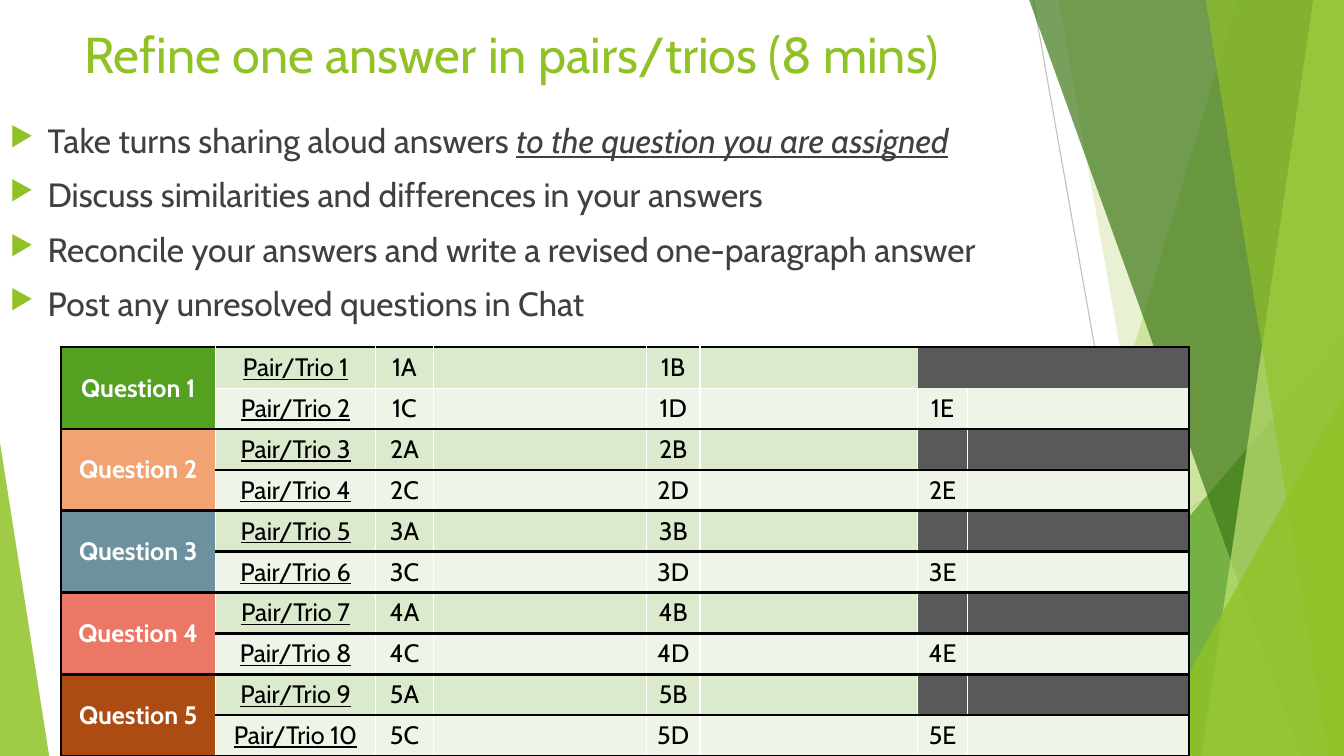
import lxml.etree as etree
import pptx
import pptx.dml.color
import pptx.enum.shapes
import pptx.enum.text
import pptx.oxml.ns
import pptx.util

Cm, Pt = pptx.util.Cm, pptx.util.Pt
qn = pptx.oxml.ns.qn
Align = pptx.enum.text.PP_ALIGN
Anchor = pptx.enum.text.MSO_ANCHOR
Preset = pptx.enum.shapes.MSO_SHAPE

WIDE, HIGH = 33.87, 19.05
COLORS = {
    "lime": "90C226", "green": "54A021", "forest": "3F7819", "pale": "C0E474",
    "line": "BFBFBF", "faint": "D9D9D9", "text": "404040", "black": "000000",
    "white": "FFFFFF", "odd": "DBE9CD", "even": "EEF4E8", "gray": "595959",
    "peach": "F1A374", "slate": "6E91A0", "coral": "EB7766", "rust": "AD4C12",
}
TEAMS = ["green", "peach", "slate", "coral", "rust"]
COLS = [3.89, 4.04, 1.45, 5.37, 1.35, 5.49, 1.25, 5.58]
ROWS = 2 * len(TEAMS)
ROW_HIGH = 1.03


def color(name):
    """Return the named colour."""
    return pptx.dml.color.RGBColor.from_string(COLORS[name])


def add_tag(parent, tag, **attrs):
    """Append an XML element and return it."""
    node = etree.SubElement(parent, qn(tag))
    for key, value in attrs.items():
        node.set(key, str(value))
    return node


def write(para, text, size=18, tint="black", bold=False, ital=False,
          under=False, align=Align.LEFT):
    """Add one formatted run to a paragraph."""
    para.alignment = align
    run = para.add_run()
    run.text = text
    font = run.font
    font.name, font.size = "Cabin", Pt(size)
    font.bold, font.italic, font.underline = bold, ital, under
    font.color.rgb = color(tint)


def rule_down(row, col):
    """Give tint and width of the upright edge left of a column."""
    if col in (0, len(COLS)):
        return "black", 1.5
    return None if row == 0 and col >= 6 else ("white", 1)


def rule_over(row, col):
    """Give tint and width of the level edge above a row."""
    if row in (0, ROWS):
        return "black", 1.5
    if row == 1:
        return None if col >= 6 else ("white", 1)
    return "black", 2.25


class Deck:
    """Holds the style and the current slide."""

    def __init__(self):
        """Start a file with one blank slide."""
        self.file = pptx.Presentation()
        self.file.slide_width, self.file.slide_height = Cm(WIDE), Cm(HIGH)
        self.slide = self.file.slides.add_slide(self.file.slide_layouts[6])
        self.shapes = self.slide.shapes

    def paint(self, shape, tint, alpha):
        """Fill a shape with a see-through colour and no line."""
        shape.shadow.inherit = False
        shape.line.fill.background()
        shape.fill.solid()
        shape.fill.fore_color.rgb = color(tint)
        tone = shape.fill._xPr.find(".//" + qn("a:srgbClr"))
        add_tag(tone, "a:alpha", val=alpha * 1000)

    def line(self, tint, *ends):
        """Draw a thin straight line."""
        kind = pptx.enum.shapes.MSO_CONNECTOR.STRAIGHT
        line = self.shapes.add_connector(kind, *map(Cm, ends))
        line.line.color.rgb, line.line.width = color(tint), Pt(0.75)
        add_tag(line._element.spPr, "a:effectLst")

    def band(self, top, base, tint, alpha):
        """Draw a slanted band that reaches the right edge."""
        pen = self.shapes.build_freeform(Cm(top), Cm(-0.02), scale=1.0)
        spots = [(WIDE, -0.02), (WIDE, HIGH), (base, HIGH)]
        pen.add_line_segments([(Cm(x), Cm(y)) for x, y in spots], close=True)
        self.paint(pen.convert_to_shape(), tint, alpha)

    def wedge(self, left, top, width, peak, tint, alpha):
        """Draw a triangle that stands on the slide's lower edge."""
        box = map(Cm, (left, top, width, HIGH - top))
        shape = self.shapes.add_shape(Preset.ISOSCELES_TRIANGLE, *box)
        shape.adjustments[0] = peak
        self.paint(shape, tint, alpha)

    def box(self, *place, anchor=Anchor.TOP):
        """Add a wrapping text box and return its frame."""
        frame = self.shapes.add_textbox(*map(Cm, place)).text_frame
        frame.word_wrap, frame.vertical_anchor = True, anchor
        return frame

    def points(self, frame, items):
        """Write a bullet list; each item is a list of (text, format)."""
        for num, item in enumerate(items):
            para = frame.add_paragraph() if num else frame.paragraphs[0]
            para.space_before = Pt(10)
            for text, form in item:
                write(para, text, size=24, tint="text", **form)
            props = para._p.get_or_add_pPr()
            props.set("marL", str(Cm(0.95)))
            props.set("indent", str(-Cm(0.95)))
            tone = add_tag(props, "a:buClr")
            add_tag(tone, "a:srgbClr", val=COLORS["lime"])
            add_tag(props, "a:buSzPct", val=80000)
            add_tag(props, "a:buFont", typeface="OpenSymbol")
            add_tag(props, "a:buChar", char="\u25b6")

    def cell(self, cell, row, col, tint, span=1):
        """Set fill and borders of a table cell."""
        cell.fill.solid()
        cell.fill.fore_color.rgb = color(tint)
        props = cell._tc.get_or_add_tcPr()
        edges = [("a:lnL", rule_down(row, col)), ("a:lnR", rule_down(row, col + 1)),
                 ("a:lnT", rule_over(row, col)), ("a:lnB", rule_over(row + span, col))]
        for spot, (tag, edge) in enumerate(edges):
            line = add_tag(props, tag)
            props.insert(spot, line)
            if edge:
                line.set("w", str(Pt(edge[1])))
                fill = add_tag(line, "a:solidFill")
                add_tag(fill, "a:srgbClr", val=COLORS[edge[0]])
            else:
                add_tag(line, "a:noFill")

    def grid(self, left, top):
        """Add the table of questions and their pairs."""
        size = left, top, sum(COLS), ROWS * ROW_HIGH
        table = self.shapes.add_table(ROWS, len(COLS), *map(Cm, size)).table
        table.first_row = table.horz_banding = False
        for col, width in zip(table.columns, COLS):
            col.width = Cm(width)
        for row in range(ROWS):
            table.rows[row].height = Cm(ROW_HIGH)
            team, even = divmod(row, 2)
            marks = "CDE" if even else "AB"
            words = {2 + 2 * n: f"{team + 1}{mark}" for n, mark in enumerate(marks)}
            words[1] = f"Pair/Trio {row + 1}"
            for col in range(1, len(COLS)):
                cell = table.cell(row, col)
                tint = "even" if even else "gray" if col >= 6 else "odd"
                self.cell(cell, row, col, tint)
                para = cell.text_frame.paragraphs[0]
                if col in words:
                    write(para, words[col], under=col == 1, align=Align.CENTER)
                else:
                    para.font.size = Pt(18)
        for team, tint in enumerate(TEAMS):
            row = 2 * team
            head = table.cell(row, 0)
            head.merge(table.cell(row + 1, 0))
            self.cell(head, row, 0, tint, span=2)
            self.cell(table.cell(row + 1, 0), row, 0, tint, span=2)
            head.vertical_anchor = Anchor.MIDDLE
            write(head.text_frame.paragraphs[0], f"Question {team + 1}",
                  tint="white", bold=True, align=Align.CENTER)


def main():
    """Build the slide and save it."""
    deck = Deck()
    deck.line("line", 26.04, 0, 29.41, HIGH)
    deck.line("faint", WIDE, 10.24, 20.62, HIGH)
    deck.band(31.19, 25.5, "lime", 30)
    deck.band(26.67, 30.05, "lime", 20)
    deck.wedge(24.82, 8.46, 9.04, 1, "green", 72)
    deck.band(25.93, 32.79, "forest", 70)
    deck.band(33.1, 30.28, "pale", 70)
    deck.band(30.38, 33.48, "lime", 65)
    deck.wedge(28.8, 9.98, 5.06, 1, "lime", 80)
    deck.wedge(0, 11.15, 1.24, 0, "lime", 85)

    title = deck.box(1.88, 0.41, 23.88, 1.85, anchor=Anchor.MIDDLE)
    write(title.paragraphs[0], "Refine one answer in pairs/trios (8 mins)",
          size=36, tint="lime")
    deck.points(deck.box(0, 2.9, 26.7, 5.84), [
        [("Take turns sharing aloud answers ", {}),
         ("to the question you are assigned", {"ital": True, "under": True})],
        [("Discuss similarities and differences in your answers", {})],
        [("Reconcile your answers and write a revised one-paragraph answer", {})],
        [("Post any unresolved questions in Chat", {})],
    ])
    deck.grid(1.54, 8.75)
    deck.file.save("out.pptx")


main()
